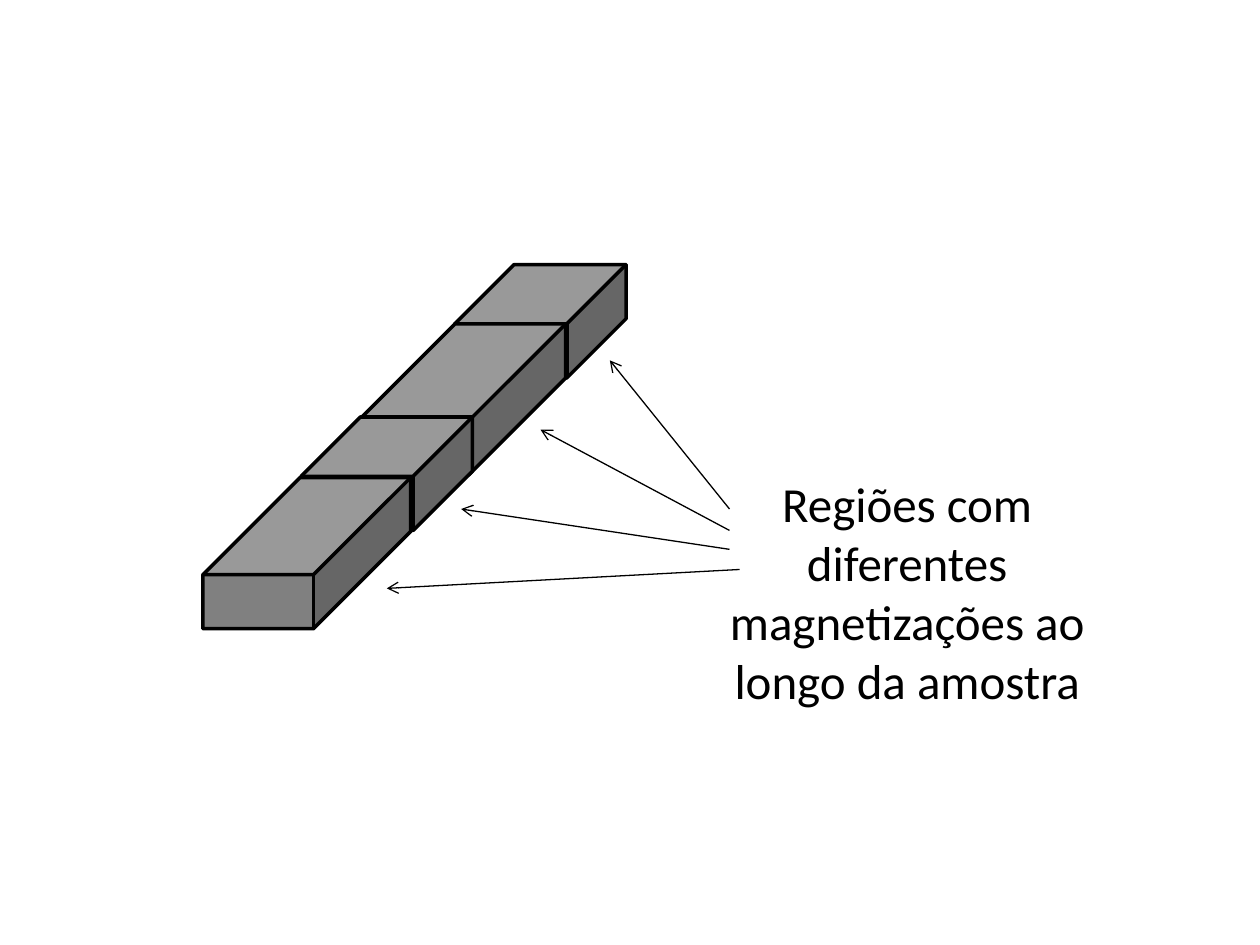
from typing import NamedTuple

from lxml import etree
from pptx import Presentation
from pptx.dml.color import RGBColor
from pptx.enum.shapes import MSO_CONNECTOR, MSO_SHAPE
from pptx.enum.text import MSO_AUTO_SIZE, PP_ALIGN
from pptx.oxml.ns import qn
from pptx.util import Inches, Pt

CUBE = MSO_SHAPE.CUBE
LINE = MSO_CONNECTOR.STRAIGHT
MID = PP_ALIGN.CENTER
GROW = MSO_AUTO_SIZE.SHAPE_TO_FIT_TEXT
BLACK = RGBColor(0, 0, 0)
GRAY = RGBColor(0x80, 0x80, 0x80)
LABEL = "Regiões com diferentes magnetizações ao longo da amostra"
FONT = {"name": "Calibri", "size": Pt(28)}


class Size(NamedTuple):
    wide: float
    high: float
    depth: float


class Block(NamedTuple):
    left: float
    top: float
    size: Size


class Arrow(NamedTuple):
    x: float
    y: float
    tip_x: float
    tip_y: float


SHORT = Size(1.36, 0.9, 0.523)
LONG = Size(1.65, 1.2, 0.643)
BLOCKS = [
    Block(3.61, 2.1, SHORT),
    Block(2.84, 2.57, LONG),
    Block(2.39, 3.31, SHORT),
    Block(1.61, 3.79, LONG),
]
ARROWS = [
    Arrow(5.79, 4.04, 4.84, 2.86),
    Arrow(5.79, 4.21, 4.29, 3.41),
    Arrow(5.79, 4.36, 3.66, 4.04),
    Arrow(5.87, 4.52, 3.07, 4.67),
]


def draw_block(shapes, block: Block) -> None:
    size = block.size
    cube = shapes.add_shape(CUBE, *map(Inches, (block.left, block.top, size.wide, size.high)))
    cube.adjustments[0] = size.depth
    cube.shadow.inherit = False
    cube.fill.solid()
    cube.fill.fore_color.rgb = GRAY
    cube.line.color.rgb = BLACK
    cube.line.width = Pt(2)


def draw_arrow(shapes, arrow: Arrow) -> None:
    line = shapes.add_connector(LINE, *map(Inches, arrow))
    line.line.color.rgb = BLACK
    line.line.width = Pt(0.75)
    etree.SubElement(line.line._get_or_add_ln(), qn("a:tailEnd"), type="arrow")
    etree.SubElement(line._element.spPr, qn("a:effectLst"))


def draw_label(shapes) -> None:
    frame = shapes.add_textbox(*map(Inches, (5.47, 3.71, 3.46, 1.99))).text_frame
    frame.word_wrap = True
    frame.auto_size = GROW
    para = frame.paragraphs[0]
    para.alignment = MID
    run = para.add_run()
    run.text = LABEL
    for key, value in FONT.items():
        setattr(run.font, key, value)
    run.font.color.rgb = BLACK


def main() -> None:
    """Build the slide of a bar whose regions differ in magnetization."""
    deck = Presentation()
    deck.slide_width, deck.slide_height = Inches(10), Inches(7.5)
    shapes = deck.slides.add_slide(deck.slide_layouts[6]).shapes
    bar = shapes.add_group_shape().shapes
    for block in BLOCKS:
        draw_block(bar, block)
    draw_label(shapes)
    for arrow in ARROWS:
        draw_arrow(shapes, arrow)
    deck.save("out.pptx")


if __name__ == "__main__":
    main()
